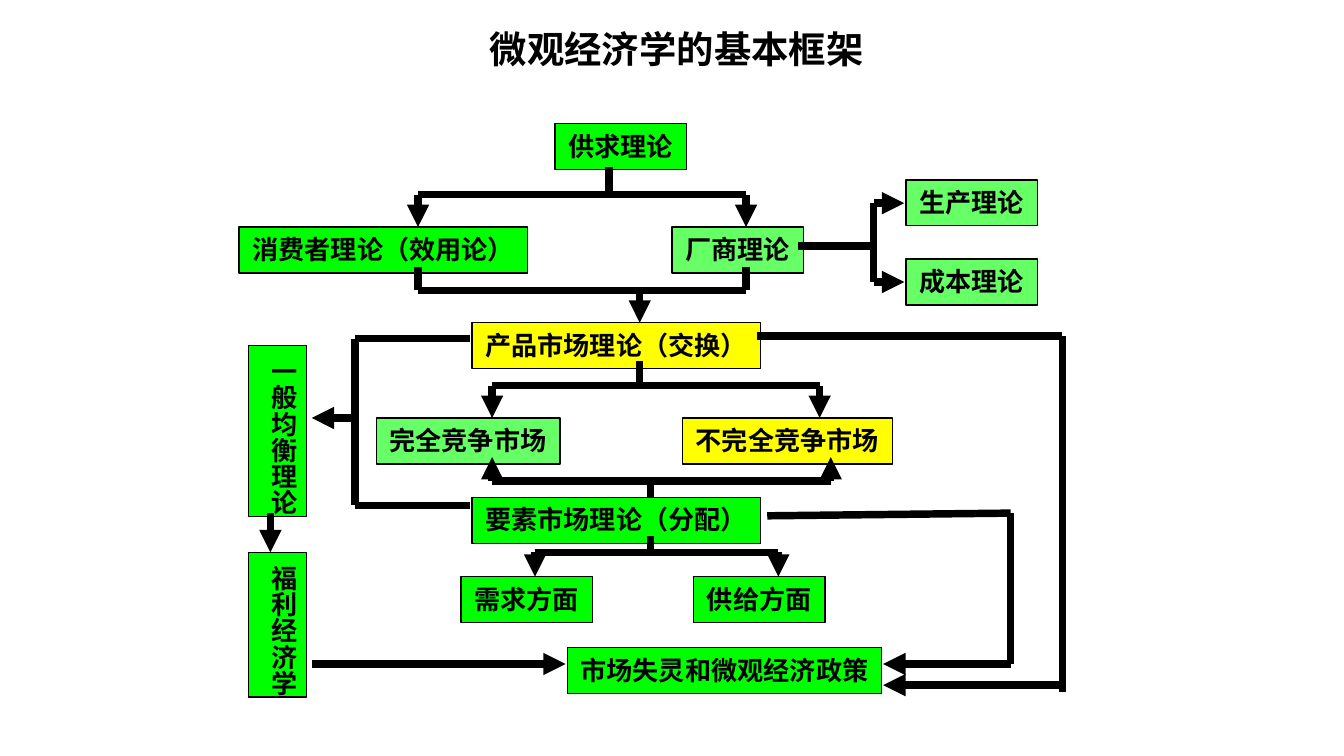
from lxml import etree
from pptx import Presentation
from pptx.dml.color import RGBColor
from pptx.enum import shapes, text
from pptx.oxml.ns import qn
from pptx.util import Cm, Pt

COLORS = {"green": "00FF00", "light": "66FF66", "yellow": "FFFF00", "black": "000000"}
CJK_FONT = "Noto Sans CJK SC"
CHARACTER = 14 * 2.54 / 72  # one 14 pt character, in cm
BOX_HEIGHT = 0.87
COLUMN_WIDTH = 1.09

TITLE = "微观经济学的基本框架"

# label, left, top, fill
BOXES = [
    ("供求理论", 10.49, 2.34, "green"),
    ("消费者理论（效用论）", 4.52, 4.29, "green"),
    ("厂商理论", 12.7, 4.29, "light"),
    ("生产理论", 17.12, 3.4, "light"),
    ("成本理论", 17.12, 4.9, "light"),
    ("产品市场理论（交换）", 8.92, 6.1, "yellow"),
    ("完全竞争市场", 7.11, 7.9, "light"),
    ("不完全竞争市场", 12.9, 7.9, "yellow"),
    ("要素市场理论（分配）", 8.92, 9.4, "green"),
    ("需求方面", 8.71, 10.9, "green"),
    ("供给方面", 13.11, 10.9, "green"),
    ("市场失灵和微观经济政策", 10.72, 12.24, "green"),
]
COLUMNS = [
    ("一般均衡理论", 4.7, 6.53, "green"),
    ("福利经济学", 4.7, 10.44, "green"),
]

# direction, stem position, stem start, bar, branch positions, branch end, arrows on
FORKS = [
    ("vertical", 11.51, 3.15, 3.68, (7.9, 14.1), 4.29, "branches"),
    ("vertical", 12.09, 6.1, 5.49, (7.9, 14.1), 5.05, "stem"),
    ("vertical", 12.09, 6.83, 7.29, (9.3, 15.49), 7.9, "branches"),
    ("vertical", 12.29, 9.4, 9.09, (9.3, 15.7), 8.64, "branches"),
    ("vertical", 12.29, 10.13, 10.44, (10.11, 14.71), 10.9, "branches"),
    ("horizontal", 4.65, 15.09, 16.51, (3.84, 5.33), 17.09, "branches"),
    ("horizontal", 7.9, 5.89, 6.71, (6.4, 9.55), 8.89, "stem"),
]

# points, arrow at the last point
ROUTES = [
    ([(5.11, 9.7), (5.11, 10.44)], True),
    ([(5.89, 12.55), (10.69, 12.55)], True),
    ([(14.3, 6.35), (20.08, 6.35), (20.08, 13.08)], False),
    ([(20.08, 12.95), (16.69, 12.95)], True),
    ([(14.5, 9.75), (19.1, 9.7), (19.1, 12.55), (16.69, 12.55)], True),
]


def color(name):
    return RGBColor.from_string(COLORS[name])


def format_text(frame, size, font):
    for run in frame.paragraphs[0].runs:
        run.font.size = Pt(size)
        run.font.bold = True
        run.font.color.rgb = color("black")
        run.font.name = font
        east_asian = etree.SubElement(run._r.get_or_add_rPr(), qn("a:ea"))
        east_asian.set("typeface", CJK_FONT)


def add_box(slide, label, left, top, fill, vertical=False):
    length = len(label) * CHARACTER
    width, height = (COLUMN_WIDTH, length + 0.27) if vertical else (length + 0.51, BOX_HEIGHT)
    box = slide.shapes.add_shape(
        shapes.MSO_SHAPE.RECTANGLE, Cm(left), Cm(top), Cm(width), Cm(height))
    box.shadow.inherit = False
    box.fill.solid()
    box.fill.fore_color.rgb = color(fill)
    box.line.color.rgb = color("black")
    box.line.width = Pt(0.75)
    frame = box.text_frame
    frame.text = label
    frame.word_wrap = False
    frame.vertical_anchor = text.MSO_ANCHOR.TOP
    frame.paragraphs[0].alignment = text.PP_ALIGN.LEFT
    if vertical:
        frame.margin_left = frame.margin_right = Cm(0.13)
        frame.margin_top = frame.margin_bottom = Cm(0.25)
        frame._txBody.bodyPr.set("vert", "eaVert")
    format_text(frame, 14, "Calibri")


def add_line(slide, start, end, arrow=False):
    line = slide.shapes.add_connector(
        shapes.MSO_CONNECTOR.STRAIGHT, *(Cm(value) for value in (*start, *end)))
    line.line.color.rgb = color("black")
    line.line.width = Pt(4)
    properties = line._element.spPr
    if arrow:
        etree.SubElement(properties.find(qn("a:ln")), qn("a:tailEnd")).set("type", "triangle")
    etree.SubElement(properties, qn("a:effectLst"))


def add_fork(slide, direction, stem, start, bar, branches, end, arrows):
    """Join one stem to several branches through a crossing bar."""
    def point(across, along):
        return (across, along) if direction == "vertical" else (along, across)

    add_line(slide, point(branches[0], bar), point(branches[-1], bar))
    add_line(slide, *(point(stem, along) for along in
                      ((bar, start) if arrows == "stem" else (start, bar))), arrows == "stem")
    for branch in branches:
        add_line(slide, point(branch, bar), point(branch, end), arrows == "branches")


def main():
    presentation = Presentation()
    presentation.slide_width, presentation.slide_height = Cm(25.4), Cm(14.29)
    slide = presentation.slides.add_slide(presentation.slide_layouts[5])

    title = slide.shapes.title
    title.left, title.top, title.width, title.height = Cm(1.36), Cm(0.38), Cm(22.86), Cm(1.07)
    title.text_frame.text = TITLE
    title.text_frame.auto_size = text.MSO_AUTO_SIZE.NONE
    title.text_frame.paragraphs[0].alignment = text.PP_ALIGN.CENTER
    format_text(title.text_frame, 20, CJK_FONT)

    for box in BOXES:
        add_box(slide, *box)
    for column in COLUMNS:
        add_box(slide, *column, vertical=True)
    for fork in FORKS:
        add_fork(slide, *fork)
    for points, arrow in ROUTES:
        for index, (start, end) in enumerate(zip(points, points[1:]), 2):
            add_line(slide, start, end, arrow and index == len(points))

    presentation.save("out.pptx")


if __name__ == "__main__":
    main()
